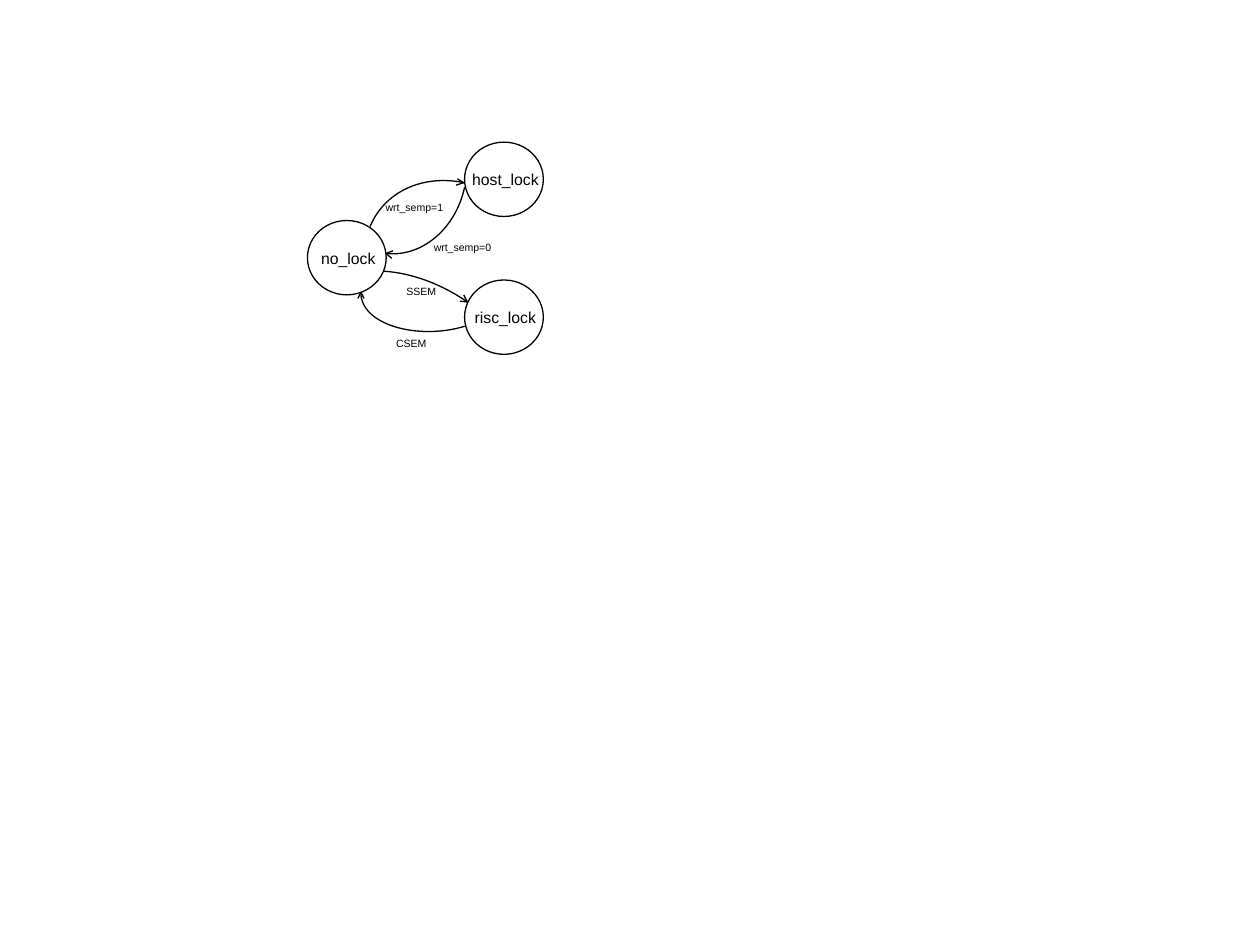
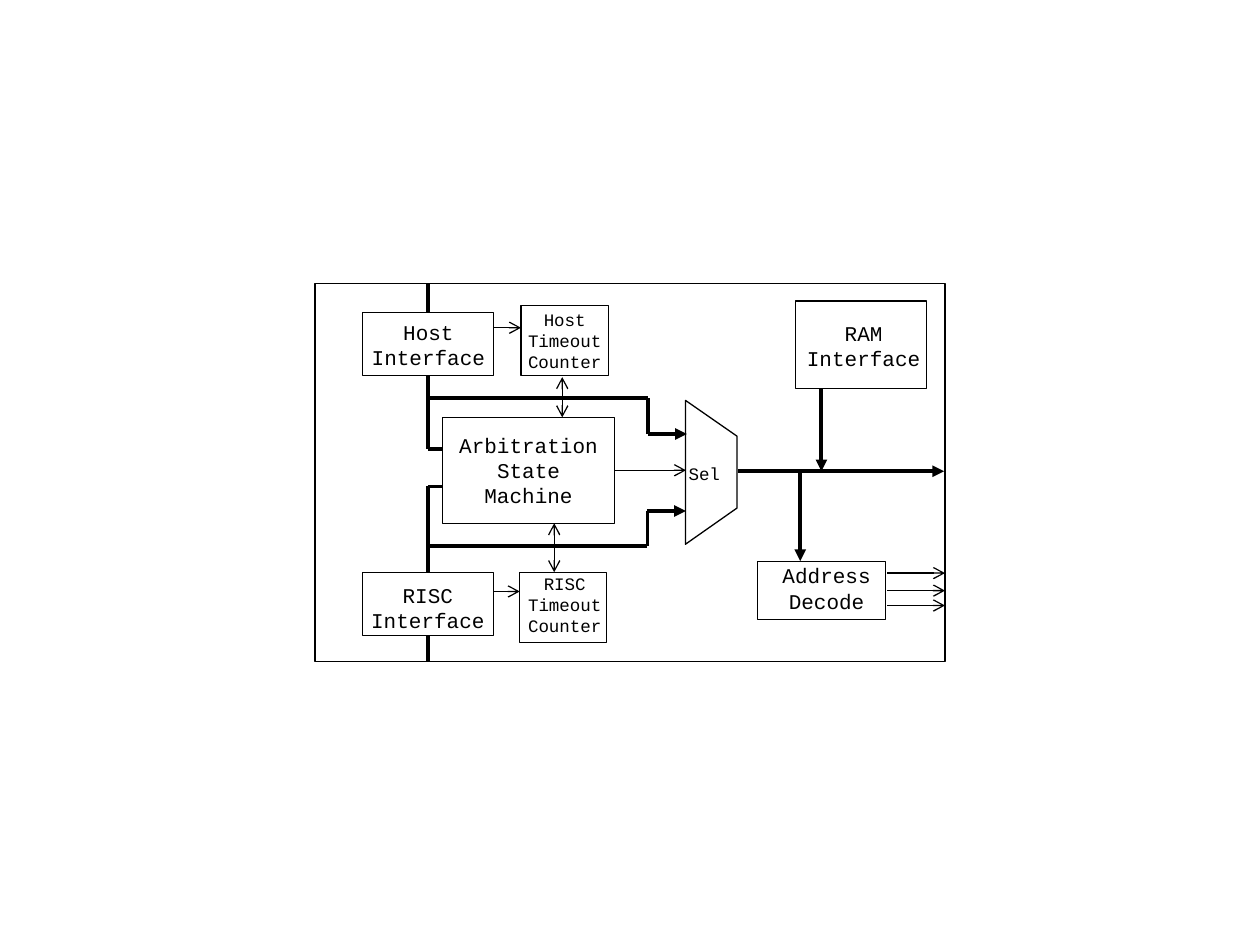
import itertools
import lxml.etree
import pptx
import pptx.dml.color
import pptx.enum.shapes
import pptx.enum.text
import pptx.oxml.ns
import pptx.util

Pt = pptx.util.Pt
qn = pptx.oxml.ns.qn
KIND = pptx.enum.shapes.MSO_SHAPE
BLACK = pptx.dml.color.RGBColor(0, 0, 0)
THIN, BUS = 0.75, 2.25

# Slide 1: lock states, and moves between them as Bezier points
STATE_SIZE = (45, 42.5)
STATES = [  # text, corner, text width
    ("no_lock", (175.7, 126), 49),
    ("host_lock", (265.5, 81.2), 59),
    ("risc_lock", (265.5, 160), 56),
]
MOVES = [  # text, text centre, curve, barb ends
    ("wrt_semp=1", (236.8, 118.3),
     [(211.5, 129.5), (219.5, 110), (241, 99.5), (265, 104.4)],
     [(260.6, 105.8), (261.4, 102.2)]),
    ("wrt_semp=0", (264.3, 141.3),
     [(265.5, 107), (260.5, 130), (242, 147), (220.5, 144.9)],
     [(224.6, 143.3), (223.9, 147.6)]),
    ("SSEM", (240.8, 166.5),
     [(219.5, 155), (236, 156), (253.5, 163), (267.1, 172.6)],
     [(262.8, 172.1), (265, 168.5)]),
    ("CSEM", (235, 196),
     [(265.5, 186.5), (239.5, 194.5), (206, 186), (206.2, 167)],
     [(208.1, 170.6), (204.5, 170.6)]),
]

# Slide 2: text, left, top, width, height, font size, text shift
BLOCKS = [
    ("", (180, 162, 360, 216), 12, (0, 0)),
    ("RAM\nInterface", (454.5, 172, 75, 50), 12, (1.5, 0.4)),
    ("Arbitration\nState\nMachine", (253, 238.5, 98, 60.5), 12, (0, -0.2)),
    ("Address\nDecode", (432.7, 320.7, 73.3, 33.2), 12, (3, -1.2)),
    ("Host\nInterface", (207, 178.5, 75, 36), 12, (0.3, 0.5)),
    ("RISC\nInterface", (207, 327, 75, 36), 12, (0, 2)),
    ("Host\nTimeout\nCounter", (297.7, 174.5, 50, 40), 10, (0, 0)),
    ("RISC\nTimeout\nCounter", (296.7, 327, 50, 40), 10, (1, -1.4)),
]
MUX = [(391.7, 228.8), (421.2, 249.3), (421.2, 290.3), (391.7, 311)]
TRUNK = 244.5
BUSES = [  # points, end mark
    ([(TRUNK, 162.5), (TRUNK, 178.5)], None),
    ([(TRUNK, 363), (TRUNK, 378)], None),
    ([(TRUNK, 214.5), (TRUNK, 256.5), (253, 256.5)], None),
    ([(TRUNK, 327), (TRUNK, 278), (253, 278)], None),
    ([(TRUNK, 227.5), (370.5, 227.5), (370.5, 248), (392.5, 248)], "triangle"),
    ([(TRUNK, 312), (370, 312), (370, 292), (392, 292)], "triangle"),
    ([(422, 269.3), (539.5, 269.3)], "triangle"),
    ([(457.3, 269.3), (457.3, 320.7)], "triangle"),
    ([(469.4, 222), (469.4, 269.3)], "triangle"),
]
SIGNALS = [  # start, end, start mark
    ((282, 187.3), (297.7, 187.3), None),
    ((282, 338), (297, 338), None),
    ((321.3, 215.5), (321.3, 238.5), "arrow"),
    ((316.7, 327), (316.7, 299), "arrow"),
    ((351, 268.75), (392, 268.75), None),
] + [((507, y), (540, y), None) for y in (327.5, 337.5, 346)]


def stroke(shape, width=THIN, head=None, tail=None):
    shape.line.color.rgb = BLACK
    shape.line.width = Pt(width)
    line = shape.element.find(".//" + qn("a:ln"))
    for tag, mark in (("a:headEnd", head), ("a:tailEnd", tail)):
        if mark:
            lxml.etree.SubElement(line, qn(tag), type=mark)


def write(shape, text, font, size, shift=(0, 0)):
    """Centre text in a shape, moved by shift points right and down."""
    frame = shape.text_frame
    frame.text = text
    frame.word_wrap = False
    frame.vertical_anchor = pptx.enum.text.MSO_ANCHOR.MIDDLE
    across, down = shift
    frame.margin_left = Pt(max(0, 2 * across))
    frame.margin_right = Pt(max(0, -2 * across))
    frame.margin_top = Pt(max(0, 2 * down))
    frame.margin_bottom = Pt(max(0, -2 * down))
    for para in frame.paragraphs:
        para.alignment = pptx.enum.text.PP_ALIGN.CENTER
        for run in para.runs:
            run.font.name = font
            run.font.size = Pt(size)
            run.font.color.rgb = BLACK


def label(slide, text, centre, wide, high, size):
    x, y = centre
    place = (x - wide / 2, y - high / 2, wide, high)
    write(slide.shapes.add_textbox(*map(Pt, place)), text, "Arial", size)


def outline(shape):
    shape.shadow.inherit = False
    shape.fill.background()
    return shape


def block(slide, kind, place):
    shape = outline(slide.shapes.add_shape(kind, *map(Pt, place)))
    stroke(shape)
    return shape


def trace(slide, points, close):
    first, *rest = [tuple(map(Pt, point)) for point in points]
    pen = slide.shapes.build_freeform(*first, scale=1.0)
    pen.add_line_segments(rest, close=close)
    shape = outline(pen.convert_to_shape())
    stroke(shape)
    return shape


def curve(slide, points):
    """Draw one cubic Bezier through its four points."""
    shape = trace(slide, points, False)
    steps = shape.element.findall(".//" + qn("a:lnTo"))
    bend = lxml.etree.Element(qn("a:cubicBezTo"))
    steps[0].addprevious(bend)
    for step in steps:
        bend.append(step[0])
        step.getparent().remove(step)


def join(x, y, connect, boxes):
    """Connect a wire end to the box whose side has its middle at x, y."""
    for box in boxes:
        mid_x, mid_y = box.left + box.width / 2, box.top + box.height / 2
        sides = [(mid_x, box.top), (box.left, mid_y),
                 (mid_x, box.top + box.height), (box.left + box.width, mid_y)]
        for side, (side_x, side_y) in enumerate(sides):
            if max(abs(side_x - x), abs(side_y - y)) < Pt(0.1):
                connect(box, side)
                return


def wire(slide, start, end, boxes=(), width=THIN, head=None, tail=None):
    start, end = tuple(map(Pt, start)), tuple(map(Pt, end))
    kind = pptx.enum.shapes.MSO_CONNECTOR.STRAIGHT
    line = slide.shapes.add_connector(kind, *start, *end)
    stroke(line, width, head, tail)
    lxml.etree.SubElement(line.element.spPr, qn("a:effectLst"))
    join(*start, line.begin_connect, boxes)
    join(*end, line.end_connect, boxes)


def draw_states(slide):
    wide, high = STATE_SIZE
    for text, (left, top), span in STATES:
        block(slide, KIND.OVAL, (left, top, wide, high))
        centre = (left + wide / 2 + 0.8, top + high / 2 + 0.2)
        label(slide, text, centre, span, 21, 9)
    for text, centre, points, barbs in MOVES:
        curve(slide, points)
        for barb in barbs:
            wire(slide, barb, points[-1])
        label(slide, text, centre, 47, 14, 6)


def draw_blocks(slide):
    font = "Courier New"
    boxes = []
    for text, place, size, shift in BLOCKS:
        box = block(slide, KIND.RECTANGLE, place)
        if text:
            write(box, text, font, size, shift)
        boxes.append(box)
    for points, mark in BUSES:
        pairs = list(itertools.pairwise(points))
        for pair in pairs:
            tail = mark if pair == pairs[-1] else None
            wire(slide, *pair, boxes, BUS, tail=tail)
    for start, end, head in SIGNALS:
        wire(slide, start, end, boxes, head=head, tail="arrow")
    write(trace(slide, MUX, True), "Sel", font, 10, (-4, 0.5))


def main():
    deck = pptx.Presentation()
    deck.slide_width, deck.slide_height = Pt(720), Pt(540)
    blank = deck.slide_layouts[6]
    for draw in (draw_states, draw_blocks):
        draw(deck.slides.add_slide(blank))
    deck.save("out.pptx")


if __name__ == "__main__":
    main()
